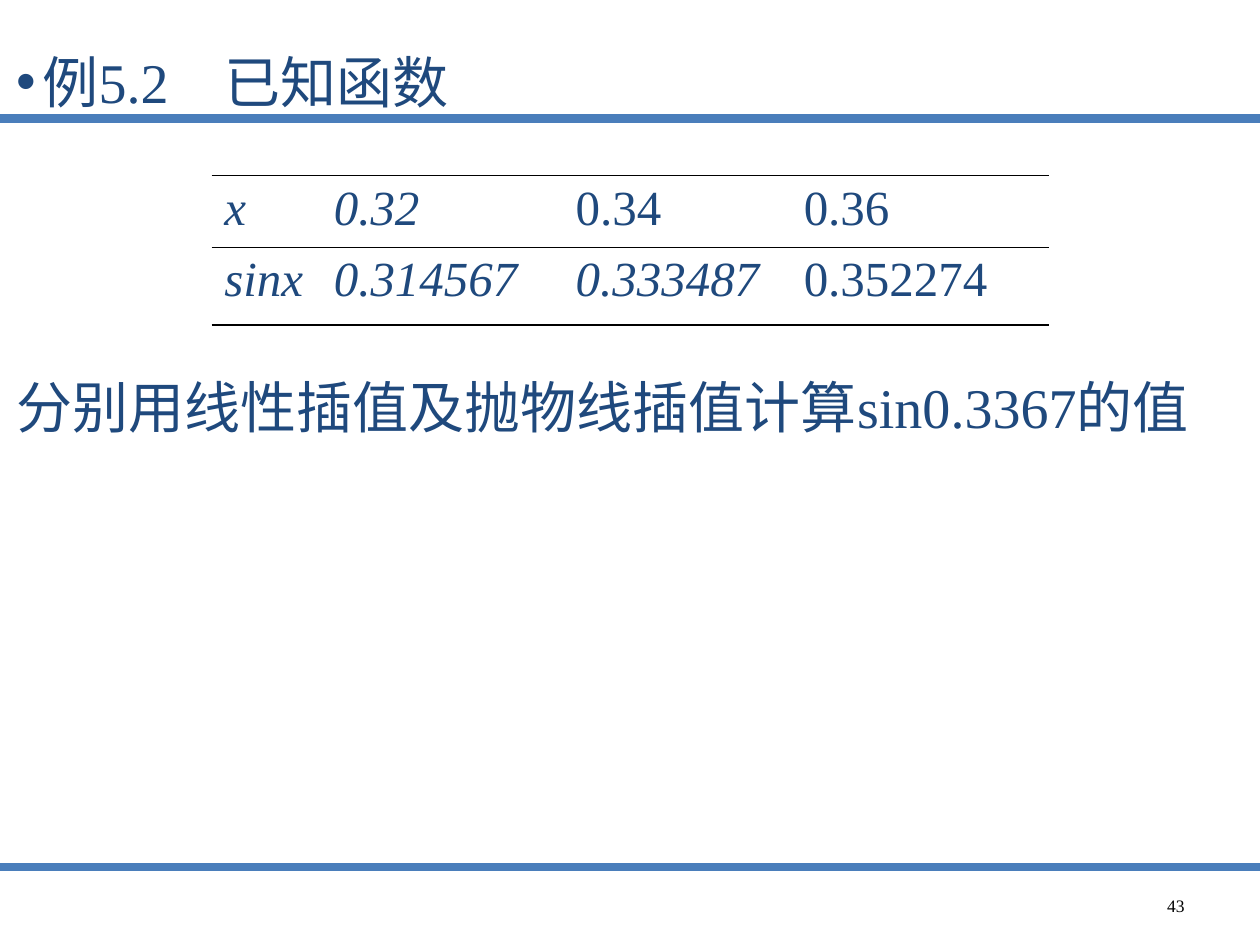
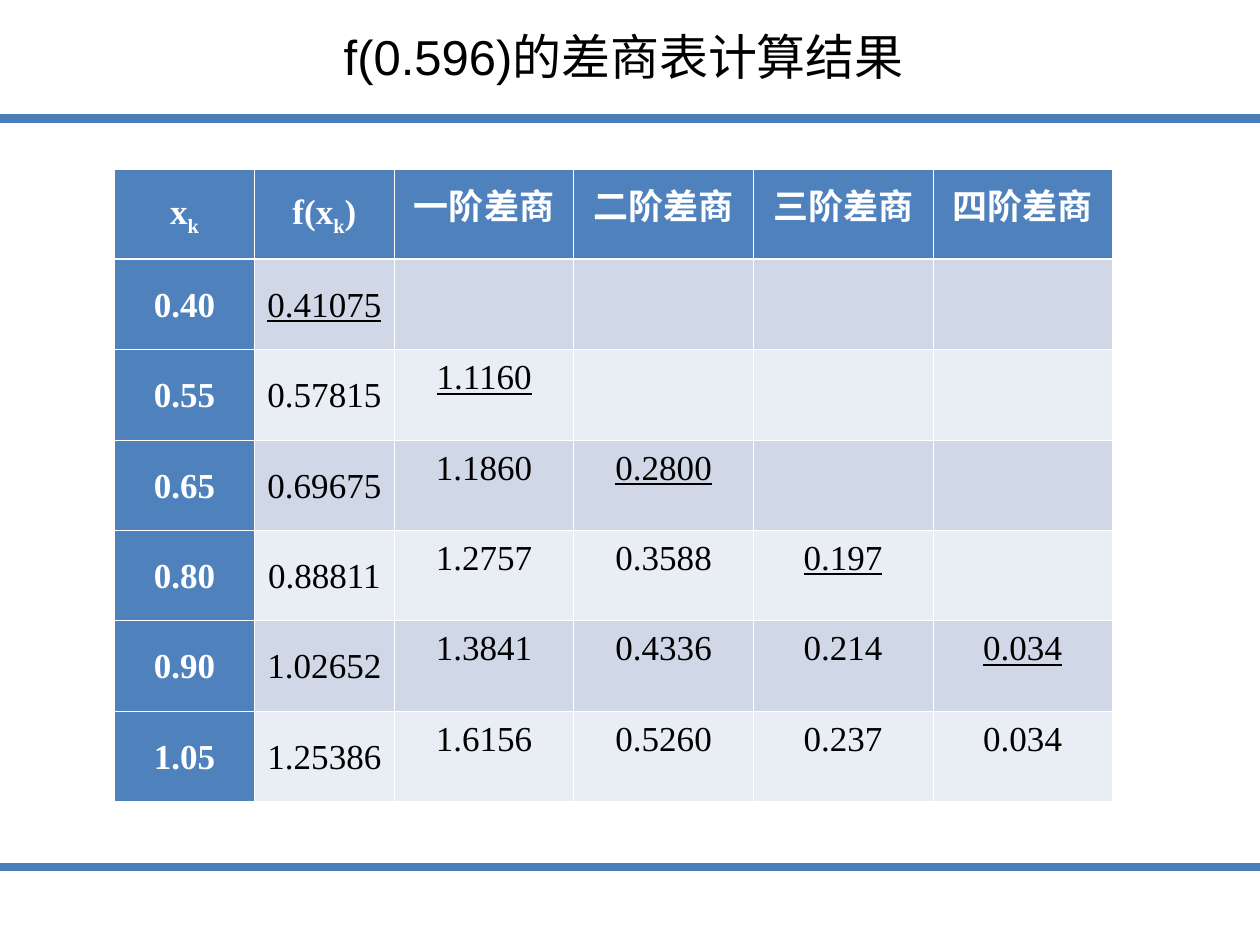
from dataclasses import dataclass

from lxml.etree import SubElement as Sub
from pptx import Presentation
from pptx.dml.color import RGBColor as RGB
from pptx.enum.shapes import MSO_CONNECTOR as Link
from pptx.enum.text import MSO_ANCHOR as Anchor, MSO_AUTO_SIZE as Fit, PP_ALIGN as Align
from pptx.oxml.ns import qn
from pptx.util import Inches, Pt


@dataclass(frozen=True)
class Theme:
    rule: str = "4A7EBB"
    ink: str = "1F497D"
    black: str = "000000"
    white: str = "FFFFFF"
    head: str = "4F81BD"
    bands: tuple = ("E9EDF4", "D0D8E8")
    serif: str = "Times New Roman"
    sans: str = "Arial"
    body: int = 32
    title: int = 28
    grid: int = 20
    page: int = 10


T = Theme()
PLAIN = "{2D5ABB26-0587-4C30-8999-92F81FD0307C}"
VALUES = [["x", "0.32", "0.34", "0.36"],
          ["sinx", "0.314567", "0.333487", "0.352274"]]
ITALIC = (2, 3)  # leading italic cells in each row of VALUES
# An underscore lowers the letter after it.
QUOTIENTS = [
    ["x_k", "f(x_k)", "一阶差商", "二阶差商", "三阶差商", "四阶差商"],
    ["0.40", "0.41075"],
    ["0.55", "0.57815", "1.1160"],
    ["0.65", "0.69675", "1.1860", "0.2800"],
    ["0.80", "0.88811", "1.2757", "0.3588", "0.197"],
    ["0.90", "1.02652", "1.3841", "0.4336", "0.214", "0.034"],
    ["1.05", "1.25386", "1.6156", "0.5260", "0.237", "0.034"],
]


def style(para, size, color, face=T.serif, **flags):
    font = para.font
    font.size, font.name = Pt(size), face
    font.color.rgb = RGB.from_string(color)
    for name, value in flags.items():
        setattr(font, name, value)


def add_text(slide, box, text, wrap=True):
    """Add a text box and return its frame."""
    frame = slide.shapes.add_textbox(*map(Inches, box)).text_frame
    frame.word_wrap = wrap
    frame.text = text
    return frame


def add_rules(slide):
    for y in (0.94, 6.88):
        line = slide.shapes.add_connector(
            Link.STRAIGHT, 0, Inches(y), Inches(10), Inches(y))
        line.line.color.rgb = RGB.from_string(T.rule)
        line.line.width = Pt(5)
        Sub(line._element.spPr, qn("a:effectLst"))


def add_grid(slide, box, widths, heights):
    """Add a table without any built-in style."""
    table = slide.shapes.add_table(
        len(heights), len(widths), *map(Inches, box)).table
    table._tbl.tblPr.find(qn("a:tableStyleId")).text = PLAIN
    table.first_row = table.horz_banding = False
    for col, width in zip(table.columns, widths):
        col.width = Inches(width)
    for row, height in zip(table.rows, heights):
        row.height = Inches(height)
    return table


def edge(cell, color, **widths):
    """Draw the sides L, R, T and B, in that order, at widths in points."""
    for side, width in widths.items():
        line = Sub(cell._tc.get_or_add_tcPr(), qn(f"a:ln{side}"), w=str(Pt(width)))
        Sub(Sub(line, qn("a:solidFill")), qn("a:srgbClr"), val=color)


def hang(para, bullet=None):
    """Give a hanging indent, with a bullet if one is named."""
    props = para._p.get_or_add_pPr()
    props.set("marL", str(Inches(0.21)))
    props.set("indent", str(Inches(-0.21)))
    if bullet:
        Sub(Sub(props, qn("a:buClr")), qn("a:srgbClr"), val=T.ink)
        Sub(props, qn("a:buFont"), typeface=T.sans)
        Sub(props, qn("a:buChar"), char=bullet)
    else:
        Sub(props, qn("a:buNone"))


def add_task(slide, box):
    frame = add_text(slide, box, "例5.2　已知函数\n分别用线性插值及抛物线插值计算sin0.3367的值")
    for para, bullet in zip(frame.paragraphs, ("•", None)):
        hang(para, bullet)
        style(para, T.body, T.ink)
    frame.paragraphs[1].space_before = Pt(147)


def add_values(slide, box):
    table = add_grid(slide, box, (0.87, 1.92, 1.81, 2.05), (0.57, 0.62))
    for r, row in enumerate(VALUES):
        for c, text in enumerate(row):
            cell = table.cell(r, c)
            cell.text = text
            style(cell.text_frame.paragraphs[0], T.title, T.ink, italic=c < ITALIC[r])
            edge(cell, T.black, T=0.45, B=1.08 if r else 0.45)


def add_page(slide, box, number):
    frame = add_text(slide, box, str(number))
    frame.vertical_anchor = Anchor.MIDDLE
    para = frame.paragraphs[0]
    para.alignment = Align.RIGHT
    style(para, T.page, T.black)


def fill_para(para, text):
    """Write text as runs, lowering the letter after an underscore."""
    base, _, tail = text.partition("_")
    for part, low in ((base, False), (tail[:1], True), (tail[1:], False)):
        if part:
            run = para.add_run()
            run.text = part
            if low:
                run._r.get_or_add_rPr().set("baseline", "-25000")


def add_quotients(slide, box):
    rows, cols, first = len(QUOTIENTS), len(QUOTIENTS[0]), 1.11
    rest = (box[2] - 2 * first) / (cols - 2)
    table = add_grid(slide, box, [first] * 2 + [rest] * (cols - 2),
                     [box[3] / rows] * rows)
    for r, row in enumerate(QUOTIENTS):
        for c in range(cols):
            cell, head = table.cell(r, c), r == 0 or c == 0
            edge(cell, T.white, L=0.45, R=0.45,
                 T=1.47 if r == 1 else 0.45, B=1.47 if r == 0 else 0.45)
            cell.fill.solid()
            cell.fill.fore_color.rgb = RGB.from_string(T.head if head else T.bands[r % 2])
            if c >= len(row):
                continue
            cell.margin_left = cell.margin_right = Inches(0.07)
            cell.vertical_anchor = Anchor.MIDDLE if c < 2 else Anchor.TOP
            para = cell.text_frame.paragraphs[0]
            para.alignment, para.line_spacing = Align.CENTER, 1.07
            fill_para(para, row[c])
            style(para, T.grid, T.white if head else T.black,
                  bold=head, underline=r == c > 0)


def add_title(slide, box, text):
    frame = add_text(slide, box, text, wrap=False)
    frame.auto_size = Fit.SHAPE_TO_FIT_TEXT
    style(frame.paragraphs[0], T.title, T.black, T.sans)


def new_slide(deck):
    slide = deck.slides.add_slide(deck.slide_layouts[6])
    add_rules(slide)
    return slide


def main():
    deck = Presentation()
    deck.slide_width, deck.slide_height = Inches(10), Inches(7.5)

    slide = new_slide(deck)
    add_task(slide, (0.03, 0.33, 9.6, 5.28))
    add_page(slide, (7.17, 6.99, 2.33, 0.4), 43)
    add_values(slide, (1.68, 1.39, 6.64, 1.19))

    slide = new_slide(deck)
    add_quotients(slide, (0.91, 1.34, 7.92, 5.02))
    add_title(slide, (2.63, 0.16, 4.74, 0.57), "f(0.596)的差商表计算结果")

    deck.save("out.pptx")


if __name__ == "__main__":
    main()
